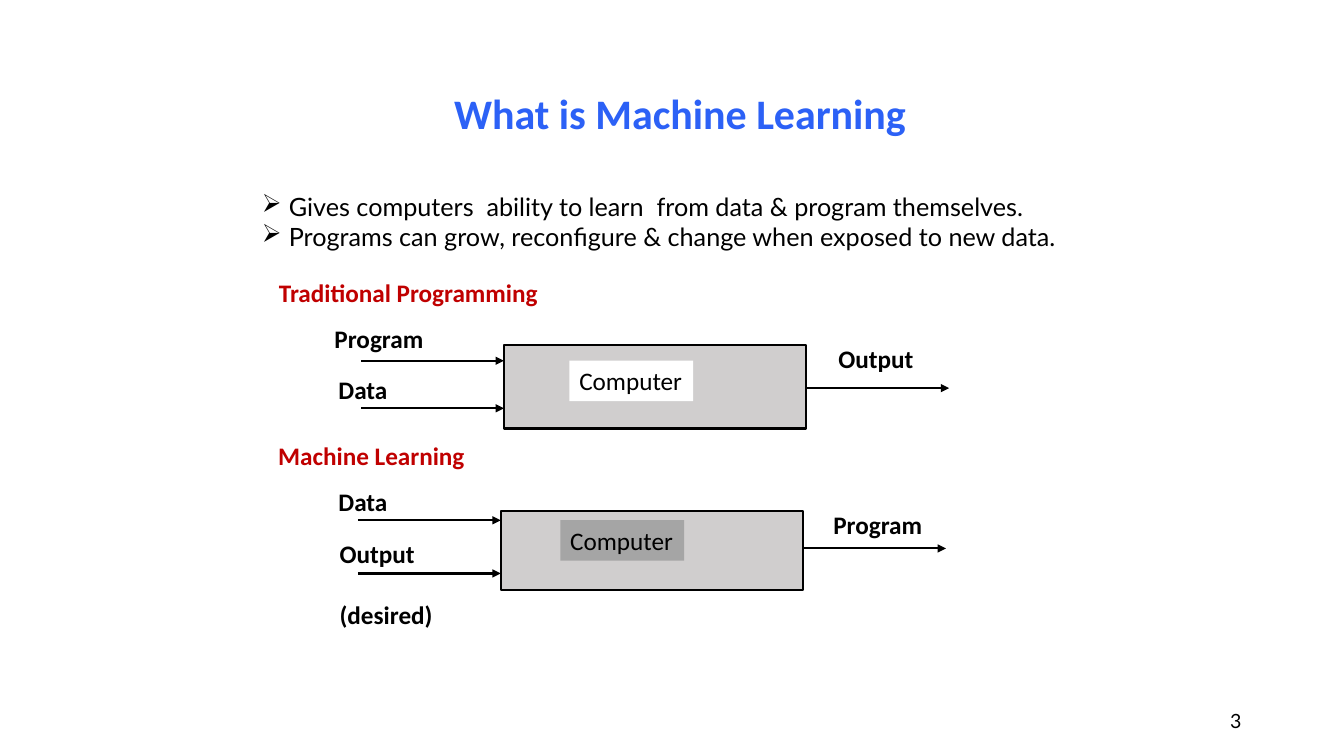
from dataclasses import dataclass
from lxml.etree import SubElement as Sub
from pptx import Presentation
from pptx.dml.color import RGBColor as RGB
from pptx.enum.shapes import MSO_CONNECTOR as Link, MSO_SHAPE as Shape
from pptx.enum.text import MSO_ANCHOR as Anchor, PP_ALIGN as Align
from pptx.oxml.ns import qn
from pptx.util import Cm, Pt


@dataclass(frozen=True)
class Theme:
    ink: str = "000000"
    title: str = "2C61F6"
    head: str = "C00000"
    box: str = "D0CECE"
    white: str = "FFFFFF"
    gray: str = "A5A5A5"
    main: str = "Calibri"
    body: str = "Lato"
    big: int = 30
    mid: int = 18
    small: int = 14
    line: float = 1.5


T = Theme()


def write(frame, lines, color=T.ink, font=T.main, size=T.mid, bold=False,
          align=Align.LEFT, anchor=Anchor.TOP, wrap=True):
    """Fill a text frame, one paragraph a line, and return the paragraphs."""
    frame.word_wrap = wrap
    frame.vertical_anchor = anchor
    for i, line in enumerate(lines):
        par = frame.add_paragraph() if i else frame.paragraphs[0]
        par.text = line
        par.alignment = align
        par.font.name, par.font.size, par.font.bold = font, Pt(size), bold
        par.font.color.rgb = RGB.from_string(color)
    return frame.paragraphs


def text(slide, x, y, w, h, *lines, **style):
    box = slide.shapes.add_textbox(Cm(x), Cm(y), Cm(w), Cm(h))
    return write(box.text_frame, lines, **style)


def label(slide, x, y, *lines, w=3.6, color=T.ink):
    return text(slide, x, y, w, 1.02, *lines, color=color, bold=True)


def rect(slide, x, y, w, h, fill, edge=None):
    box = slide.shapes.add_shape(Shape.RECTANGLE, Cm(x), Cm(y), Cm(w), Cm(h))
    box.shadow.inherit = False
    box.fill.solid()
    box.fill.fore_color.rgb = RGB.from_string(fill)
    if edge:
        box.line.color.rgb = RGB.from_string(edge)
        box.line.width = Pt(T.line)
    else:
        box.line.fill.background()
    return box


def arrow(slide, x, y, w=3.6):
    link = slide.shapes.add_connector(
        Link.STRAIGHT, Cm(x), Cm(y), Cm(x + w), Cm(y))
    link.line.color.rgb = RGB.from_string(T.ink)
    link.line.width = Pt(T.line)
    Sub(link.line._get_or_add_ln(), qn("a:tailEnd"), type="triangle")
    Sub(link._element.spPr, qn("a:effectLst"))


def bullet(par, char, indent):
    props = par._p.get_or_add_pPr()
    props.set("marL", str(Cm(indent)))
    props.set("indent", str(-Cm(indent)))
    Sub(props, qn("a:buChar"), char=char)


def flow(slide, x, y, h, ins, out, chip):
    """Draw a computer box with input arrows, an output arrow and a chip."""
    w, reach = 7.62, 3.6
    rect(slide, x, y, w, h, T.box, T.ink)
    for row in ins:
        arrow(slide, x - reach, row, reach)
    arrow(slide, x + w, out, reach)
    left, color = chip
    tag = rect(slide, left, ins[0], 3.12, 1.02, color)
    write(tag.text_frame, ["Computer"], wrap=False)


def main():
    deck = Presentation()
    deck.slide_width, deck.slide_height = Cm(33.87), Cm(19.05)
    slide = deck.slides.add_slide(deck.slide_layouts[6])

    # Title and page number
    title = text(slide, 6.35, 0.85, 21.59, 2.74, "What is Machine Learning",
                 color=T.title, size=T.big, bold=True,
                 align=Align.CENTER, anchor=Anchor.BOTTOM)
    title[0].line_spacing = Pt(32.4)
    text(slide, 23.92, 17.66, 7.62, 1.02, "3", font=T.body, size=T.small,
         align=Align.RIGHT, anchor=Anchor.MIDDLE)

    # Definition
    points = text(
        slide, 6.35, 4.69, 22.12, 1.8,
        "Gives computers  ability to learn  from data & program themselves.",
        "Programs can grow, reconfigure & change when exposed to new data.",
        font=T.body, align=Align.JUSTIFY)
    for par in points:
        bullet(par, "➢", 0.68)

    # Traditional programming
    label(slide, 6.78, 6.86, "Traditional Programming", w=11.76, color=T.head)
    flow(slide, 12.7, 8.69, 2.11, (9.09, 10.29), 9.78, (14.35, T.white))
    label(slide, 8.18, 8.03, "Program")
    label(slide, 8.28, 9.32, "Data")
    label(slide, 20.88, 8.53, "Output")

    # Machine learning
    label(slide, 6.76, 10.97, "Machine Learning", w=11.76, color=T.head)
    flow(slide, 12.62, 12.88, 1.98, (13.11, 14.45), 13.82, (14.12, T.gray))
    label(slide, 8.28, 12.12, "Data")
    goal = label(slide, 8.31, 13.44, "Output", "(desired)", w=5.87)
    goal[1].space_before = Pt(22)
    label(slide, 20.75, 12.7, "Program")

    deck.save("out.pptx")


main()
